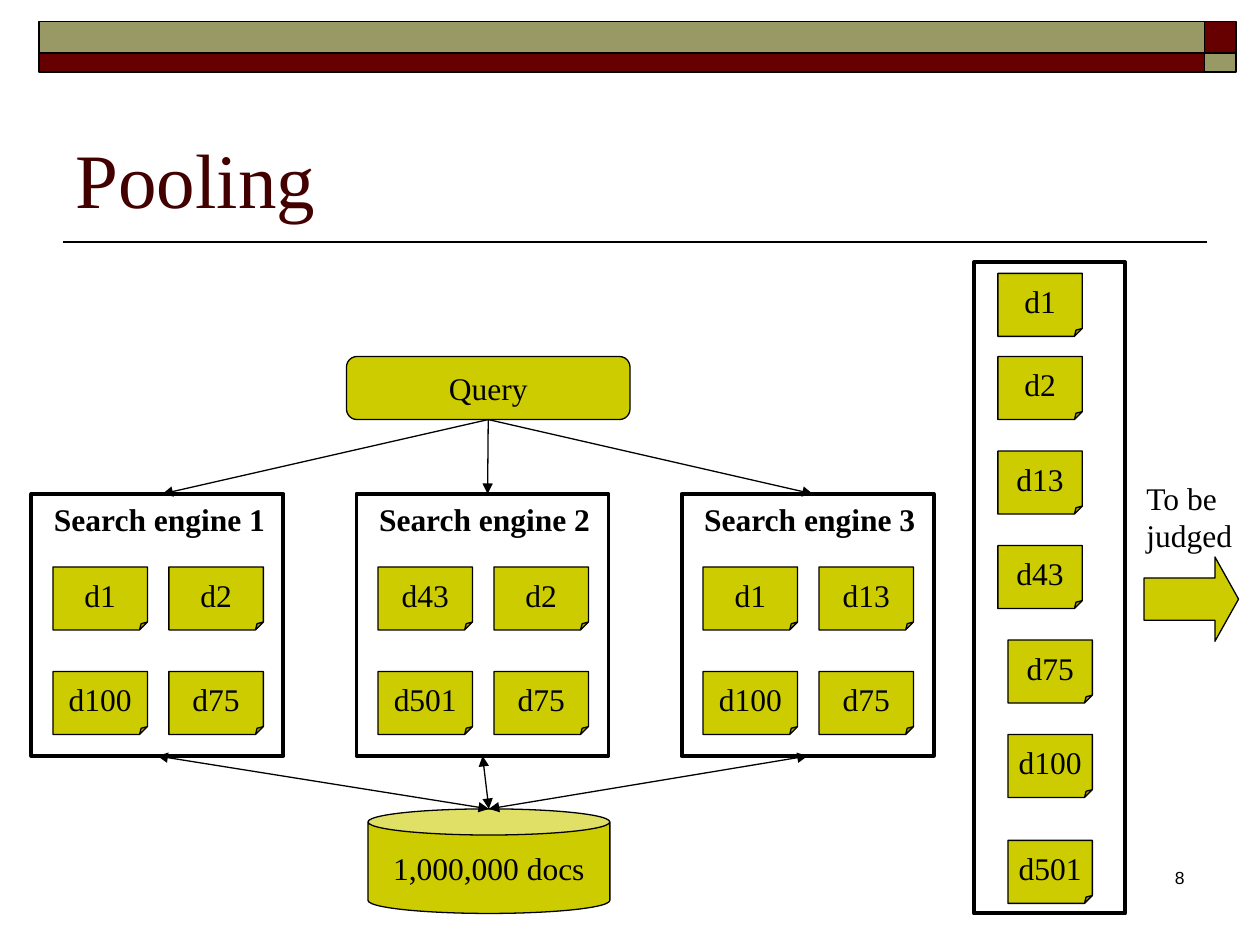
from dataclasses import dataclass

import lxml.etree
import pptx
import pptx.dml.color
import pptx.enum.shapes
import pptx.enum.text
import pptx.oxml.ns
import pptx.util

COLORS = {"black": "000000", "maroon": "660000", "olive": "999966", "title": "420000", "lime": "CCCC00"}
SERIF = "Times New Roman"
SHAPE = pptx.enum.shapes.MSO_SHAPE
ALIGN = pptx.enum.text.PP_ALIGN
ANCHOR = pptx.enum.text.MSO_ANCHOR


@dataclass
class Area:
    left: float
    top: float
    width: float
    height: float

    def lengths(self) -> tuple:
        return tuple(pptx.util.Inches(value) for value in (self.left, self.top, self.width, self.height))


@dataclass
class Engine:
    name: str
    documents: tuple


@dataclass
class PooledDocument:
    name: str
    left: float
    top: float


ENGINES = (
    Engine("Search engine 1", ("d1", "d2", "d100", "d75")),
    Engine("Search engine 2", ("d43", "d2", "d501", "d75")),
    Engine("Search engine 3", ("d1", "d13", "d100", "d75")),
)
ENGINE_STEP = 2.58
POOL = (
    PooledDocument("d1", 7.92, 2.17),
    PooledDocument("d2", 7.92, 2.83),
    PooledDocument("d13", 7.92, 3.58),
    PooledDocument("d43", 7.92, 4.33),
    PooledDocument("d75", 8, 5.08),
    PooledDocument("d100", 8, 5.83),
    PooledDocument("d501", 8, 6.67),
)


def rgb(name: str):
    return pptx.dml.color.RGBColor.from_string(COLORS[name])


def write(frame, text: str, size: float = 18, font: str = SERIF, color: str = "black",
          bold: bool = False, align=ALIGN.LEFT, before: float = 0) -> None:
    para = frame.paragraphs[0]
    para.alignment = align
    para.space_before = pptx.util.Pt(before)
    span = para.add_run()
    span.text = text
    span.font.size = pptx.util.Pt(size)
    span.font.name = font
    span.font.bold = bold
    span.font.color.rgb = rgb(color)


def add_box(page, kind, area: Area, fill: str = "", weight: float = 0.75, text: str = ""):
    box = page.shapes.add_shape(kind, *area.lengths())
    box.shadow.inherit = False
    if fill:
        box.fill.solid()
        box.fill.fore_color.rgb = rgb(fill)
    else:
        box.fill.background()
    box.line.color.rgb = rgb("black")
    box.line.width = pptx.util.Pt(weight)
    if text:
        box.text_frame.word_wrap = False
        box.text_frame.vertical_anchor = ANCHOR.MIDDLE
        write(box.text_frame, text, align=ALIGN.CENTER)
    return box


def add_document(page, name: str, area: Area) -> None:
    box = add_box(page, SHAPE.FOLDED_CORNER, area, "lime", text=name)
    guides = box._element.spPr.find(".//" + pptx.oxml.ns.qn("a:avLst"))
    lxml.etree.SubElement(guides, pptx.oxml.ns.qn("a:gd"), name="adj", fmla="val 12500")


def add_label(page, area: Area, text: str, **style):
    box = page.shapes.add_textbox(*area.lengths())
    box.text_frame.word_wrap = True
    write(box.text_frame, text, **style)
    return box


def add_line(page, start: tuple, end: tuple, weight: float = 0.75, arrows: tuple = ()):
    line = page.shapes.add_connector(
        pptx.enum.shapes.MSO_CONNECTOR.STRAIGHT, *(pptx.util.Inches(value) for value in start + end))
    line.line.color.rgb = rgb("black")
    line.line.width = pptx.util.Pt(weight)
    outline = line._element.spPr.find(pptx.oxml.ns.qn("a:ln"))
    for arrow in arrows:
        lxml.etree.SubElement(outline, pptx.oxml.ns.qn(arrow), type="triangle")
    lxml.etree.SubElement(line._element.spPr, pptx.oxml.ns.qn("a:effectLst"))
    return line


def add_banner(page) -> None:
    add_line(page, (9.58, 1.92), (0.5, 1.92), weight=1)
    for top, height, wide, corner in ((0.17, 0.25, "olive", "maroon"), (0.42, 0.15, "maroon", "olive")):
        add_box(page, SHAPE.RECTANGLE, Area(0.31, top, 9.25, height), wide, 1)
        add_box(page, SHAPE.RECTANGLE, Area(9.56, top, 0.25, height), corner, 1)


def add_title(page) -> None:
    title = page.shapes.title
    title.left, title.top, title.width, title.height = Area(0.5, 0.58, 9, 1.25).lengths()
    title.text_frame.vertical_anchor = ANCHOR.BOTTOM
    write(title.text_frame, "Pooling", size=44, color="title")


def add_engine(page, engine: Engine, left: float) -> tuple:
    frame = add_box(page, SHAPE.RECTANGLE, Area(left, 3.92, 2, 2.08), weight=2.25)
    heading = add_label(page, Area(left + 0.08, 3.92, 1.92, 0.4), engine.name, bold=True, before=11.2)
    for index, name in enumerate(engine.documents):
        row, column = divmod(index, 2)
        add_document(page, name, Area(left + 0.17 + 0.92 * column, 4.5 + 0.83 * row, 0.75, 0.5))
    return frame, heading


def add_search(page) -> None:
    query = add_box(page, SHAPE.ROUNDED_RECTANGLE, Area(2.75, 2.83, 2.25, 0.5), "lime", text="Query")
    add_box(page, SHAPE.CAN, Area(2.92, 6.42, 1.92, 0.83), "lime", text="1,000,000 docs")
    for index, engine in enumerate(ENGINES):
        left = 0.25 + ENGINE_STEP * index
        frame, heading = add_engine(page, engine, left)
        request = add_line(page, (3.88, 3.33), (left + 1.04, 3.92), arrows=("a:tailEnd",))
        request.begin_connect(query, 2)
        request.end_connect(heading, 0)
        lookup = add_line(page, (left + 1, 6), (3.88, 6.42), arrows=("a:headEnd", "a:tailEnd"))
        lookup.begin_connect(frame, 2)


def add_pool(page) -> None:
    for document in POOL:
        add_document(page, document.name, Area(document.left, document.top, 0.67, 0.5))
    add_box(page, SHAPE.RECTANGLE, Area(7.73, 2.08, 1.2, 5.17), weight=2.25)
    arrow = add_box(page, SHAPE.RIGHT_ARROW, Area(9.08, 4.42, 0.75, 0.67), "lime")
    arrow.adjustments[1] = 0.28
    add_label(page, Area(9, 3.75, 1.08, 0.7), "To be judged", before=11.2)


def main() -> None:
    deck = pptx.Presentation()
    deck.slide_width, deck.slide_height = pptx.util.Inches(10), pptx.util.Inches(7.5)
    page = deck.slides.add_slide(deck.slide_layouts[5])
    add_banner(page)
    add_title(page)
    add_search(page)
    add_pool(page)
    add_label(page, Area(7.42, 6.83, 2.08, 0.5), "8", size=10, font="Arial", align=ALIGN.RIGHT)
    deck.save("out.pptx")


if __name__ == "__main__":
    main()
